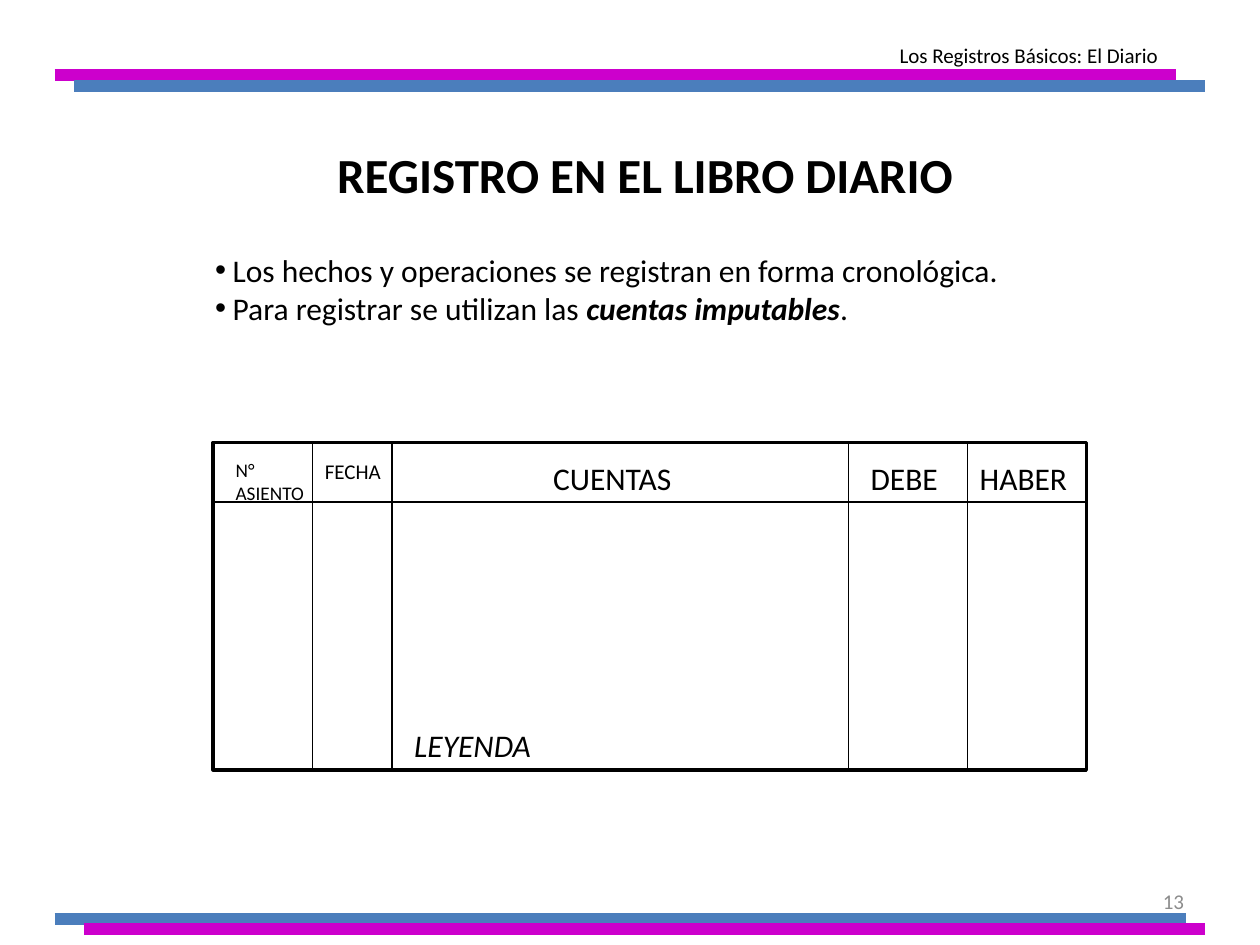
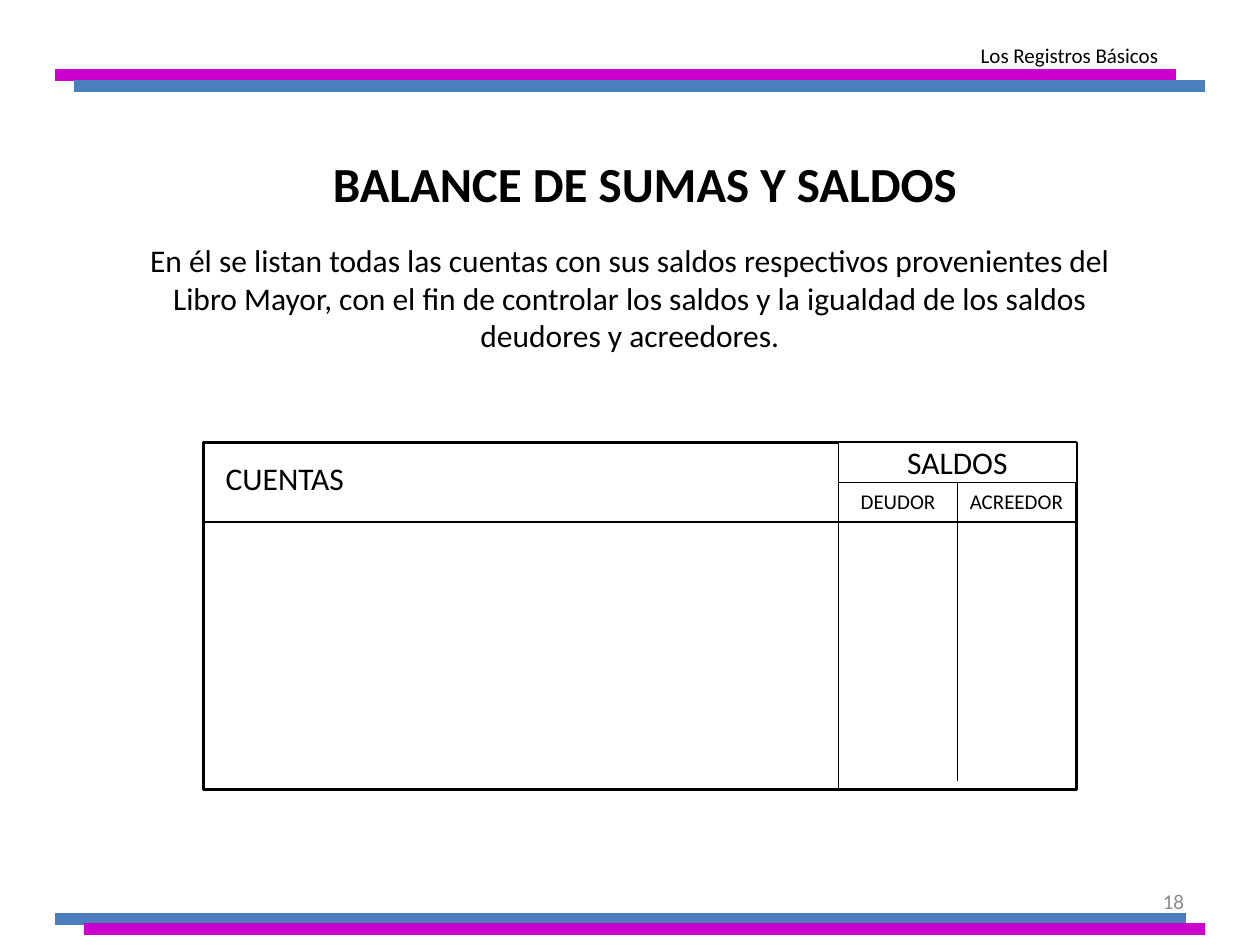
from lxml.etree import SubElement
from pptx import Presentation
from pptx.dml.color import RGBColor
from pptx.enum.shapes import MSO_CONNECTOR, MSO_SHAPE
from pptx.enum.text import MSO_ANCHOR, PP_ALIGN
from pptx.oxml.ns import qn
from pptx.util import Cm, Pt

FONT = "Calibri"
BLACK, WHITE, GREY = "000000", "FFFFFF", "8C8C8C"
MAGENTA, BLUE = "CC00CC", "4B7EBC"
BAND_WIDTH = 6.75
# left, right, height on the page, colour
BANDS = [
    (1.1, 23.7, 1.52, MAGENTA),
    (1.5, 24.3, 1.73, BLUE),
    (1.1, 23.9, 18.52, BLUE),
    (1.7, 24.3, 18.72, MAGENTA),
]


def color(hex_code):
    return RGBColor.from_string(hex_code)


def style_span(span, size, ink=BLACK, bold=False, italic=False):
    font = span.font
    font.name, font.size = FONT, Pt(size)
    font.bold, font.italic = bold, italic
    font.color.rgb = color(ink)


def add_text(page, box, text, size, align=PP_ALIGN.LEFT,
             anchor=MSO_ANCHOR.TOP, **style):
    frame = page.shapes.add_textbox(*map(Cm, box)).text_frame
    frame.word_wrap = True
    frame.vertical_anchor = anchor
    frame.text = text
    for para in frame.paragraphs:
        para.alignment = align
        for span in para.runs:
            style_span(span, size, **style)
    return frame


def add_line(page, start, end, ink=BLACK, width=0.75):
    line = page.shapes.add_connector(
        MSO_CONNECTOR.STRAIGHT, *map(Cm, (*start, *end)))
    line.line.color.rgb = color(ink)
    line.line.width = Pt(width)
    SubElement(line._element.spPr, qn("a:effectLst"))


def add_frame(page, box, width):
    frame = page.shapes.add_shape(MSO_SHAPE.RECTANGLE, *map(Cm, box))
    frame.shadow.inherit = False
    frame.fill.solid()
    frame.fill.fore_color.rgb = color(WHITE)
    frame.line.color.rgb = color(BLACK)
    frame.line.width = Pt(width)
    return frame


def add_labels(page, box, labels):
    """Place (left, top, width, height, text, size) labels inside the box."""
    for left, top, width, height, text, size in labels:
        add_text(page, (box[0] + left, box[1] + top, width, height), text, size)


def add_page(deck, header, title, title_top, number):
    page = deck.slides.add_slide(deck.slide_layouts[6])
    add_text(page, (18.2, 17.65, 5.92, 1.02), number, 12,
             PP_ALIGN.RIGHT, MSO_ANCHOR.MIDDLE, ink=GREY)
    for left, right, height, ink in BANDS:
        add_line(page, (left, height), (right, height), ink, BAND_WIDTH)
    add_text(page, (2.1, title_top, 21.8, 2.34), title, 28,
             PP_ALIGN.CENTER, MSO_ANCHOR.MIDDLE, bold=True)
    add_text(page, (10.9, 0.74, 12.7, 0.76), header, 12, PP_ALIGN.RIGHT)
    return page


def add_bullets(page, box, points):
    """Each point is a list of (text, emphasised) pieces."""
    frame = add_text(page, box, "", 18)
    for index, pieces in enumerate(points):
        para = frame.add_paragraph() if index else frame.paragraphs[0]
        for text, strong in pieces:
            span = para.add_run()
            span.text = text
            style_span(span, 18, bold=strong, italic=strong)
        properties = para._p.get_or_add_pPr()
        properties.set("marL", str(Cm(0.35)))
        properties.set("indent", str(-Cm(0.35)))
        SubElement(properties, qn("a:buFont"), typeface="Arial")
        SubElement(properties, qn("a:buChar"), char="•")


def add_journal(page, box):
    left, top, width, height = box
    add_frame(page, box, 2)
    for offset in (2, 3.6, 12.8, 15.2):
        add_line(page, (left + offset, top), (left + offset, top + height))
    add_line(page, (left, top + 1.2), (left + width, top + 1.2))
    add_labels(page, box, [
        (6.6, 0.2, 3.2, 1, "CUENTAS", 18),
        (13, 0.2, 2.2, 1, "DEBE", 18),
        (15.2, 0.2, 2.6, 1, "HABER", 18),
        (2, 0.2, 1.8, 0.76, "FECHA", 12),
        (0.2, 0.2, 2, 1.2, "N° ASIENTO", 11),
    ])
    add_text(page, (left + 3.8, top + 5.6, 9, 1), "LEYENDA", 18, italic=True)


def add_balance(page, box):
    left, top, width, height = box
    debit, credit = left + 12.8, left + 15.2
    add_frame(page, box, 2)
    add_line(page, (debit, top + 0.4), (debit, top + height))
    add_line(page, (credit, top + 0.8), (credit, top + height - 0.18))
    add_line(page, (left, top + 1.6), (left + width, top + 1.6))
    add_labels(page, box, [
        (0.2, 0.2, 3.2, 1, "CUENTAS", 18),
        (13, 0.8, 2.2, 0.76, "DEUDOR", 12),
        (15.2, 0.8, 2.6, 0.76, "ACREEDOR", 12),
    ])
    heading = add_frame(page, (debit, top, 4.8, 0.8), 0.25).text_frame
    heading.text = "SALDOS"
    heading.vertical_anchor = MSO_ANCHOR.MIDDLE
    heading.paragraphs[0].alignment = PP_ALIGN.CENTER
    style_span(heading.paragraphs[0].runs[0], 18)


def build_journal_page(deck):
    page = add_page(deck, "Los Registros Básicos: El Diario",
                    "REGISTRO EN EL LIBRO DIARIO", 2.34, "13")
    add_bullets(page, (4.09, 4.93, 17.8, 1.8), [
        [("Los hechos y operaciones se registran en forma cronológica.", False)],
        [("Para registrar se utilizan las ", False),
         ("cuentas imputables", True), (".", False)],
    ])
    add_journal(page, (4.3, 8.92, 17.6, 6.6))


def build_balance_page(deck):
    page = add_page(deck, "Los Registros Básicos",
                    "BALANCE DE SUMAS Y SALDOS", 2.52, "18")
    add_balance(page, (4.1, 8.92, 17.6, 7))
    add_text(page, (2.5, 4.73, 20.4, 2.56),
             "En él se listan todas las cuentas con sus saldos respectivos "
             "provenientes del Libro Mayor, con el fin de controlar los saldos "
             "y la igualdad de los saldos deudores y acreedores.",
             18, PP_ALIGN.CENTER)


def main():
    deck = Presentation()
    deck.slide_width, deck.slide_height = Cm(25.4), Cm(19.05)
    build_journal_page(deck)
    build_balance_page(deck)
    deck.save("out.pptx")


if __name__ == "__main__":
    main()
